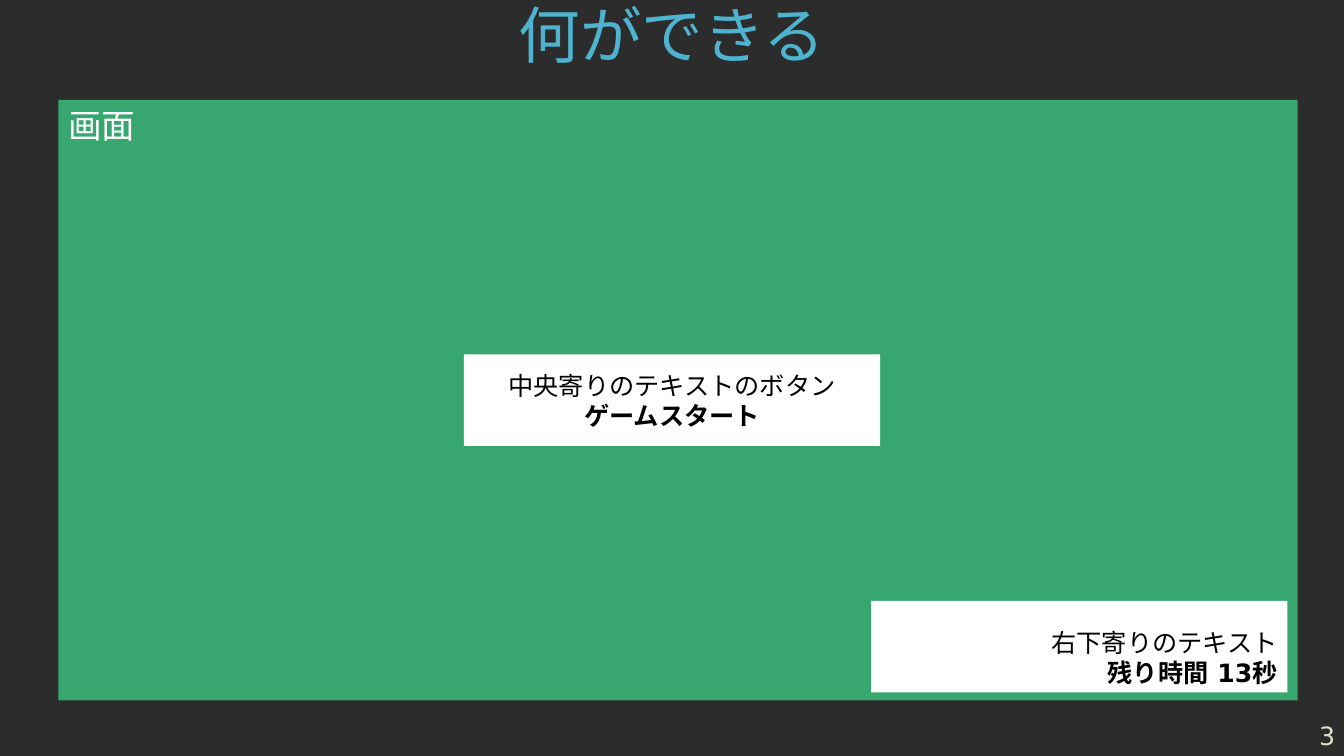
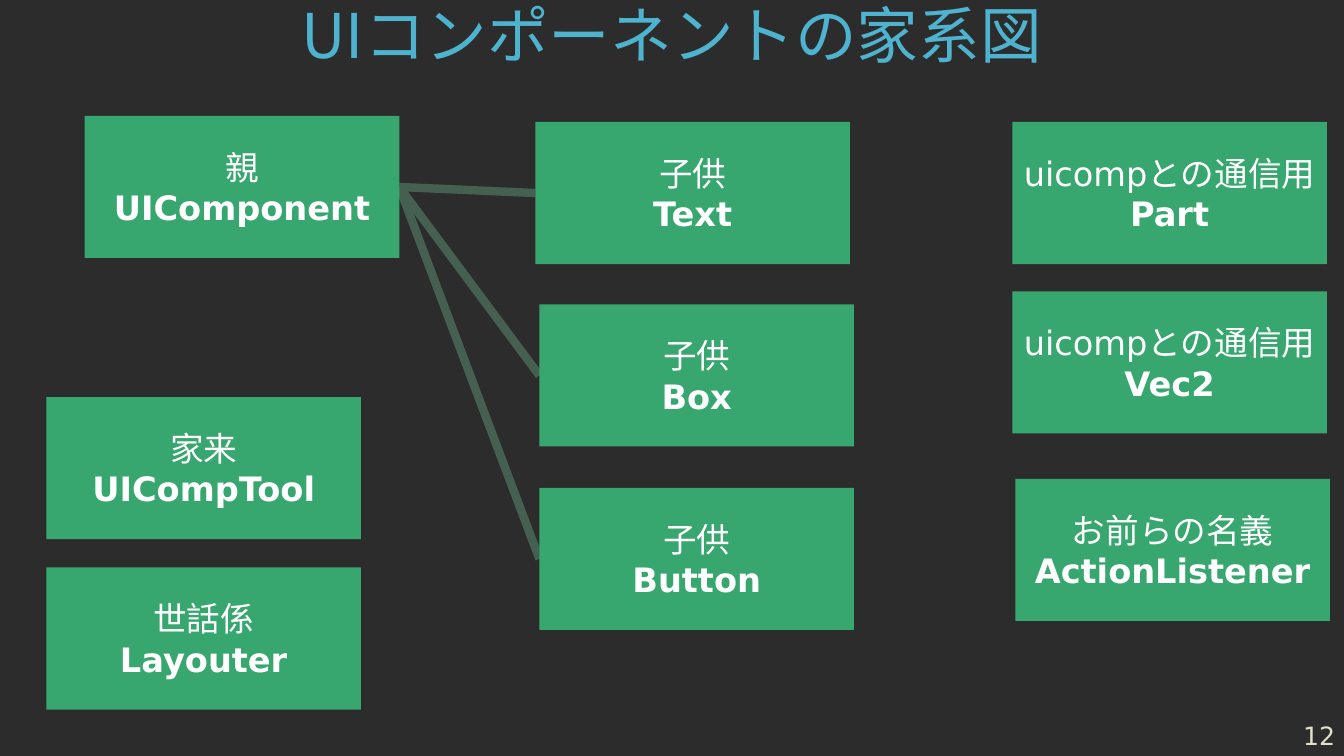
import pptx
import pptx.util
import pptx.dml.color
import pptx.enum.shapes
import pptx.enum.text
import pptx.oxml
import pptx.oxml.ns

Inches = pptx.util.Inches
ALIGN = pptx.enum.text.PP_ALIGN
ANCHOR = pptx.enum.text.MSO_ANCHOR

SLIDE_WIDTH, SLIDE_HEIGHT = 13.33, 7.5
BACKGROUND, TITLE_BLUE, GREEN = "2C2C2C", "4EB3CF", "37A76F"
WHITE, BLACK, LINE_GREEN, NUMBER_CREAM = "FFFFFF", "000000", "455F51", "E2DFCC"
TITLE_FONT, BODY_FONT = "Noto Sans CJK JP", "DejaVu Sans"
CARD_WIDTH, CARD_HEIGHT = 3.12, 1.41
LABEL_WIDTH, LABEL_HEIGHT = 4.13, 0.91


def color(value):
    """Turn a hex string into a colour."""
    return pptx.dml.color.RGBColor.from_string(value)


def add_run(paragraph, text, size, text_color, font=BODY_FONT, bold=False):
    """Add one formatted run, with the same font for Latin and Japanese."""
    run = paragraph.add_run()
    run.text = text
    run.font.name = font
    run.font.size = pptx.util.Pt(size)
    run.font.bold = bold
    run.font.color.rgb = color(text_color)
    east_asian = pptx.oxml.parse_xml(
        f'<a:ea {pptx.oxml.ns.nsdecls("a")} typeface="{font}"/>')
    run.font._element.find(pptx.oxml.ns.qn("a:latin")).addnext(east_asian)


def add_box(slide, left, top, width, height, fill, lines, size, text_color,
            align=ALIGN.CENTER, anchor=ANCHOR.MIDDLE):
    """Add a flat rectangle whose second line is bold."""
    shape = slide.shapes.add_shape(
        pptx.enum.shapes.MSO_SHAPE.RECTANGLE,
        Inches(left), Inches(top), Inches(width), Inches(height))
    shape.shadow.inherit = False
    shape.fill.solid()
    shape.fill.fore_color.rgb = color(fill)
    shape.line.fill.background()
    frame = shape.text_frame
    frame.word_wrap = True
    frame.vertical_anchor = anchor
    for index, text in enumerate(lines):
        paragraph = frame.add_paragraph() if index else frame.paragraphs[0]
        paragraph.alignment = align
        add_run(paragraph, text, size, text_color, bold=index > 0)
    return shape


def add_titled_slide(presentation, title, number):
    """Add a slide with its title and page number."""
    slide = presentation.slides.add_slide(presentation.slide_layouts[5])
    heading = slide.shapes.title
    heading.left, heading.top = Inches(0), Inches(0)
    heading.width, heading.height = Inches(SLIDE_WIDTH), Inches(1.12)
    heading.text_frame.vertical_anchor = ANCHOR.TOP
    paragraph = heading.text_frame.paragraphs[0]
    paragraph.alignment = ALIGN.CENTER
    paragraph.line_spacing = 0.9
    add_run(paragraph, title, 44, TITLE_BLUE, TITLE_FONT)

    page = slide.shapes.add_textbox(
        Inches(10.95), Inches(7.1), Inches(2.39), Inches(0.4))
    page.text_frame.word_wrap = True
    paragraph = page.text_frame.paragraphs[0]
    paragraph.alignment = ALIGN.RIGHT
    add_run(paragraph, str(number), 18, NUMBER_CREAM)
    return slide


def add_screen(slide, left, top, width, height):
    """Draw the game screen with a centred button and a corner label."""
    add_box(slide, left, top, width, height, GREEN, ["画面"], 24, WHITE,
            ALIGN.LEFT, ANCHOR.TOP)
    add_box(slide, left + width - LABEL_WIDTH - 0.1,
            top + height - LABEL_HEIGHT - 0.08, LABEL_WIDTH, LABEL_HEIGHT,
            WHITE, ["右下寄りのテキスト", "残り時間 13秒"], 18, BLACK,
            ALIGN.RIGHT, ANCHOR.BOTTOM)
    add_box(slide, (SLIDE_WIDTH - LABEL_WIDTH) / 2,
            top + (height - LABEL_HEIGHT) / 2, LABEL_WIDTH, LABEL_HEIGHT,
            WHITE, ["中央寄りのテキストのボタン", "ゲームスタート"], 18, BLACK)


def add_card(slide, left, top, role, name):
    """Add one class card of the family tree."""
    return add_box(slide, left, top, CARD_WIDTH, CARD_HEIGHT, GREEN,
                   [role, name], 24, WHITE)


def connect(slide, parent, child):
    """Join a parent's right side to a child's left side, behind the cards."""
    connector = slide.shapes.add_connector(
        pptx.enum.shapes.MSO_CONNECTOR.STRAIGHT, 0, 0, 0, 0)
    connector.begin_connect(parent, 3)
    connector.end_connect(child, 1)
    connector.line.color.rgb = color(LINE_GREEN)
    connector.line.width = pptx.util.Pt(6)
    connector._element.spPr.append(pptx.oxml.parse_xml(
        f'<a:effectLst {pptx.oxml.ns.nsdecls("a")}/>'))
    parent._element.addprevious(connector._element)


def add_family_tree(slide, left, top):
    """Place the parent, its children and the helper classes."""
    parent = add_card(slide, left + 0.38, top, "親", "UIComponent")
    children = [(4.85, 0.06, "Text"), (4.89, 1.87, "Box"), (4.89, 3.69, "Button")]
    for x, y, name in children:
        connect(slide, parent, add_card(slide, left + x, top + y, "子供", name))
    helpers = [
        (0, 2.79, "家来", "UICompTool"),
        (0, 4.48, "世話係", "Layouter"),
        (9.58, 0.06, "uicompとの通信用", "Part"),
        (9.58, 1.74, "uicompとの通信用", "Vec2"),
        (9.61, 3.6, "お前らの名義", "ActionListener"),
    ]
    for x, y, role, name in helpers:
        add_card(slide, left + x, top + y, role, name)


def main():
    """Build and save the presentation."""
    presentation = pptx.Presentation()
    presentation.slide_width = Inches(SLIDE_WIDTH)
    presentation.slide_height = Inches(SLIDE_HEIGHT)
    background = presentation.slide_master.background.fill
    background.solid()
    background.fore_color.rgb = color(BACKGROUND)

    screen_slide = add_titled_slide(presentation, "何ができる", 3)
    add_screen(screen_slide, 0.58, 0.99, 12.29, 5.96)
    tree_slide = add_titled_slide(presentation, "UIコンポーネントの家系図", 12)
    add_family_tree(tree_slide, 0.46, 1.15)
    presentation.save("out.pptx")


if __name__ == "__main__":
    main()
